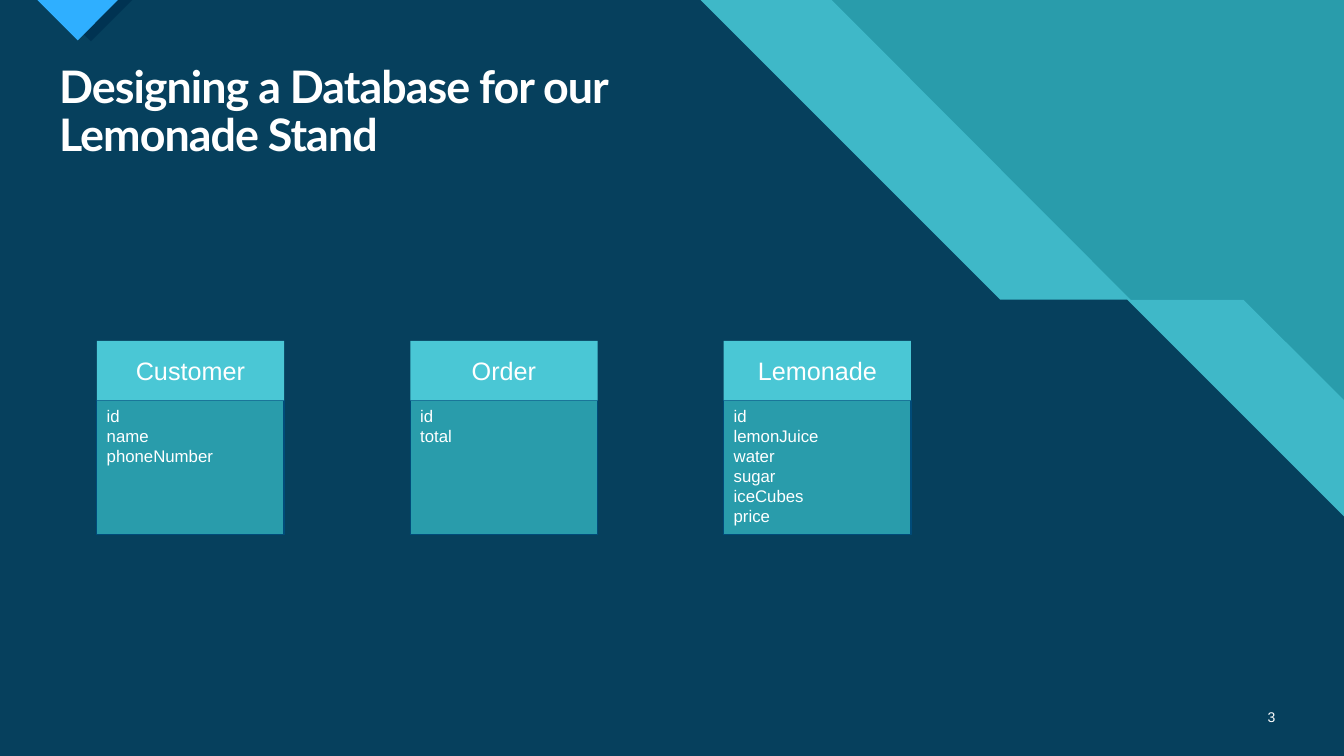
from dataclasses import dataclass

from lxml.etree import SubElement
from pptx import Presentation
from pptx.dml.color import RGBColor
from pptx.enum.shapes import MSO_SHAPE
from pptx.enum.text import MSO_ANCHOR, PP_ALIGN
from pptx.oxml.ns import qn
from pptx.shapes.autoshape import Shape
from pptx.slide import Slide
from pptx.text.text import TextFrame
from pptx.util import Cm, Pt

COLORS = {
    "teal": "299CAB",
    "band": "47C3D3",
    "navy": "003352",
    "blue": "2FAFFF",
    "header": "4AC7D5",
    "outline": "004B79",
    "white": "FFFFFF",
}
SLIDE_WIDTH, SLIDE_HEIGHT = 33.87, 19.05

CARD_LEFT, CARD_TOP, CARD_PITCH = 2.44, 8.59, 7.9
CARD_WIDTH, HEADER_HEIGHT, BODY_HEIGHT = 4.72, 1.5, 3.38


@dataclass
class Panel:
    points: list[tuple[float, float]]
    color: str
    opacity: int = 100


@dataclass
class Entity:
    name: str
    fields: list[str]


PANELS = [
    Panel([(0, 0), (20.96, 0), (28.5, 7.56), (31.34, 7.56), (SLIDE_WIDTH, 10.08),
           (SLIDE_WIDTH, SLIDE_HEIGHT), (0, SLIDE_HEIGHT)], "band", 74),
    Panel([(0, 0), (17.65, 0), (25.2, 7.55), (28.4, 7.55), (SLIDE_WIDTH, 13.02),
           (SLIDE_WIDTH, SLIDE_HEIGHT), (0, SLIDE_HEIGHT)], "navy", 90),
    Panel([(1.22, 0), (3.33, 0), (2.29, 1.04)], "navy"),
    Panel([(0.94, 0), (2.97, 0), (1.96, 1.02)], "blue"),
]

ENTITIES = [
    Entity("Customer", ["id", "name", "phoneNumber"]),
    Entity("Order", ["id", "total"]),
    Entity("Lemonade", ["id", "lemonJuice", "water", "sugar", "iceCubes", "price"]),
]


def rgb(name: str) -> RGBColor:
    return RGBColor.from_string(COLORS[name])


def paint(shape: Shape, color: str) -> None:
    shape.shadow.inherit = False
    shape.fill.solid()
    shape.fill.fore_color.rgb = rgb(color)
    shape.line.fill.background()


def write(frame: TextFrame, text: str, size: int, align: PP_ALIGN,
          anchor: MSO_ANCHOR, font: str = "Arial") -> None:
    frame.text = text
    frame.word_wrap = True
    frame.vertical_anchor = anchor
    for paragraph in frame.paragraphs:
        paragraph.alignment = align
        for run in paragraph.runs:
            run.font.name = font
            run.font.size = Pt(size)
            run.font.color.rgb = rgb("white")


def draw_panel(slide: Slide, panel: Panel) -> None:
    corners = [(Cm(x), Cm(y)) for x, y in panel.points]
    builder = slide.shapes.build_freeform(*corners[0])
    builder.add_line_segments(corners[1:], close=True)
    shape = builder.convert_to_shape()
    paint(shape, panel.color)
    if panel.opacity < 100:
        fill_color = shape._element.spPr.find(qn("a:solidFill")).find(qn("a:srgbClr"))
        SubElement(fill_color, qn("a:alpha")).set("val", str(panel.opacity * 1000))


def draw_box(slide: Slide, left: float, top: float, height: float, color: str) -> Shape:
    box = slide.shapes.add_shape(
        MSO_SHAPE.RECTANGLE, Cm(left), Cm(top), Cm(CARD_WIDTH), Cm(height))
    paint(box, color)
    return box


def draw_entity(slide: Slide, entity: Entity, left: float) -> None:
    body = draw_box(slide, left, CARD_TOP + HEADER_HEIGHT, BODY_HEIGHT, "teal")
    body.line.color.rgb = rgb("outline")
    body.line.width = Pt(1)
    write(body.text_frame, "\n".join(entity.fields), 12, PP_ALIGN.LEFT, MSO_ANCHOR.TOP)
    header = draw_box(slide, left, CARD_TOP, HEADER_HEIGHT, "header")
    write(header.text_frame, entity.name, 18, PP_ALIGN.CENTER, MSO_ANCHOR.MIDDLE)


def main() -> None:
    deck = Presentation()
    deck.slide_width, deck.slide_height = Cm(SLIDE_WIDTH), Cm(SLIDE_HEIGHT)
    slide = deck.slides.add_slide(deck.slide_layouts[6])

    # Background and diagonal panels
    slide.background.fill.solid()
    slide.background.fill.fore_color.rgb = rgb("teal")
    for panel in PANELS:
        draw_panel(slide, panel)

    # Title
    title = slide.shapes.add_textbox(Cm(1.24), Cm(1.5), Cm(17.81), Cm(2.72)).text_frame
    write(title, "Designing a Database for our Lemonade Stand", 32,
          PP_ALIGN.LEFT, MSO_ANCHOR.TOP, "Lato")
    heading = title.paragraphs[0]
    heading.line_spacing = 0.9
    heading.runs[0].font.bold = True
    heading.runs[0].font._element.set("spc", "-70")

    # Slide number
    number = slide.shapes.add_textbox(Cm(31.27), Cm(17.55), Cm(1.12), Cm(1.02))
    write(number.text_frame, "3", 10, PP_ALIGN.RIGHT, MSO_ANCHOR.MIDDLE)

    # Database entities
    for index, entity in enumerate(ENTITIES):
        draw_entity(slide, entity, CARD_LEFT + index * CARD_PITCH)

    deck.save("out.pptx")


if __name__ == "__main__":
    main()
